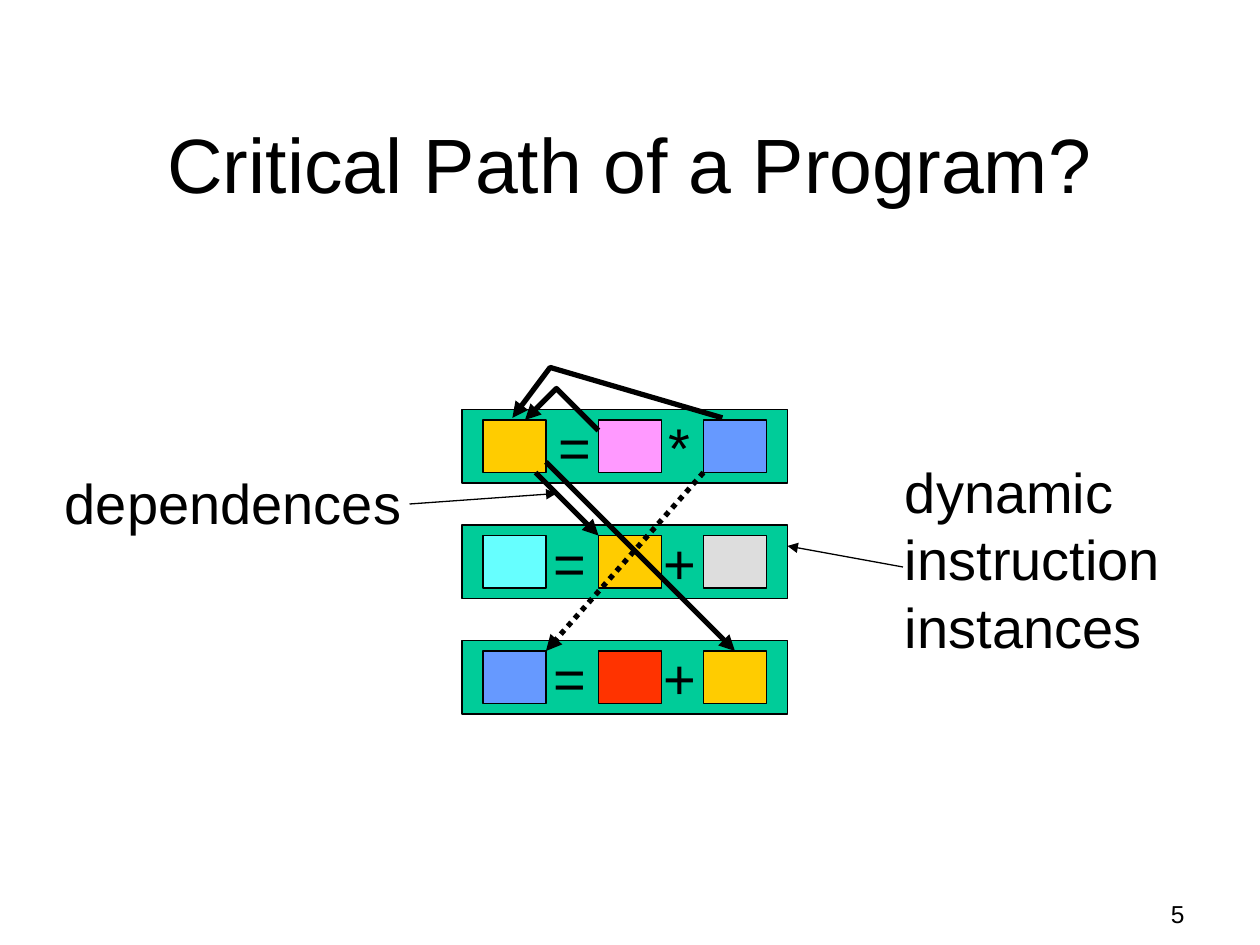
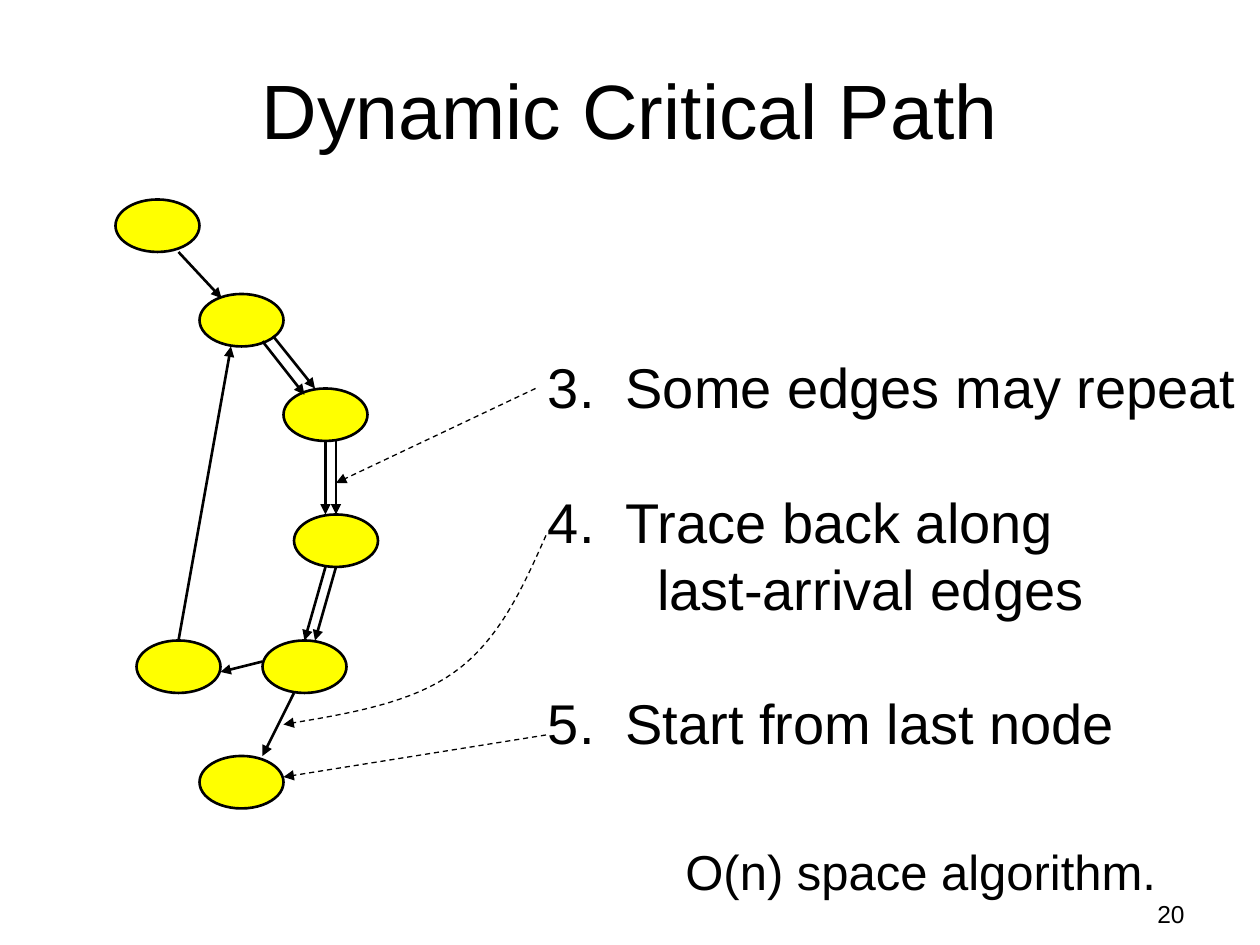
import lxml.etree
import pptx
import pptx.dml.color
import pptx.enum.dml
import pptx.enum.shapes
import pptx.enum.text
import pptx.oxml.ns
import pptx.util

PX = 7620  # 120 px to the inch
FONT = "Arial"
INK, BAND, NODE = "000000", "00CC99", "FFFF00"
GOLD, PINK, BLUE = "FFCC00", "FF99FF", "6699FF"
CYAN, GRAY, RED = "66FFFF", "DDDDDD", "FF3300"

SHAPE = pptx.enum.shapes.MSO_SHAPE
DASH = pptx.enum.dml.MSO_LINE
ALIGN = pptx.enum.text.PP_ALIGN
ANCHOR = pptx.enum.text.MSO_ANCHOR
qn = pptx.oxml.ns.qn


def px(*vals):
    return [pptx.util.Emu(round(val * PX)) for val in vals]


def color(hexa):
    return pptx.dml.color.RGBColor.from_string(hexa)


def assign(obj, form):
    for name, val in form.items():
        setattr(obj, name, val)


def child(node, tag, **attrs):
    return lxml.etree.SubElement(node, qn(tag), attrs)


def style(par, size):
    for run in par.runs:
        assign(run.font, {"name": FONT, "size": pptx.util.Pt(size)})
        run.font.color.rgb = color(INK)


def stroke(shape, width, dash=None, arrow=False):
    shape.line.color.rgb = color(INK)
    shape.line.width = pptx.util.Pt(width)
    if dash:
        shape.line.dash_style = dash
    if arrow:
        child(shape.element.spPr.find(qn("a:ln")), "a:tailEnd", type="triangle")


def block(slide, kind, box, fill, width):
    shape = slide.shapes.add_shape(kind, *px(*box))
    shape.shadow.inherit = False
    shape.fill.solid()
    shape.fill.fore_color.rgb = color(fill)
    stroke(shape, width)
    return shape


def arrow(slide, org, ends, width, dash=None):
    """Draw an arrow whose ends are offsets from org."""
    x, y = org
    x1, y1, x2, y2 = ends
    line = slide.shapes.add_connector(
        pptx.enum.shapes.MSO_CONNECTOR.STRAIGHT, *px(x + x1, y + y1, x + x2, y + y2))
    stroke(line, width, dash, True)
    child(line.element.spPr, "a:effectLst")
    return line


def trail(slide, org, points, width, dash=None):
    """Draw an open path with an arrowhead at its last point."""
    start, *rest = [px(org[0] + x, org[1] + y) for x, y in points]
    path = slide.shapes.build_freeform(*start)
    path.add_line_segments(rest, close=False)
    shape = path.convert_to_shape()
    shape.shadow.inherit = False
    shape.fill.background()
    stroke(shape, width, dash, True)


def curve(knots, steps=16):
    """Sample a chain of cubic Bezier pieces."""
    points = [knots[0]]
    for i in range(0, len(knots) - 1, 3):
        piece = knots[i:i + 4]
        for step in range(1, steps + 1):
            t = step / steps
            mix = ((1 - t) ** 3, 3 * t * (1 - t) ** 2, 3 * t * t * (1 - t), t ** 3)
            points.append(tuple(sum(m * k[axis] for m, k in zip(mix, piece))
                                for axis in (0, 1)))
    return points


def label(slide, box, lines, size=32):
    frame = slide.shapes.add_textbox(*px(*box)).text_frame
    assign(frame, {"word_wrap": False, "margin_right": 0})
    for i, text in enumerate(lines):
        par = frame.add_paragraph() if i else frame.paragraphs[0]
        par.text = text
        par.line_spacing = pptx.util.Pt(size * 1.2)
        style(par, size)
    return frame


def page(deck, title, box, number):
    slide = deck.slides.add_slide(deck.slide_layouts[5])
    head = slide.shapes.title
    assign(head, dict(zip(("left", "top", "width", "height"), px(*box))))
    assign(head.text_frame, {"text": title, "word_wrap": True,
                             "vertical_anchor": ANCHOR.MIDDLE})
    par = head.text_frame.paragraphs[0]
    par.alignment = ALIGN.CENTER
    style(par, 44)

    frame = slide.shapes.add_textbox(*px(1080, 850, 60, 50)).text_frame
    assign(frame, {"text": str(number), "word_wrap": True})
    frame.paragraphs[0].alignment = ALIGN.RIGHT
    style(frame.paragraphs[0], 14)
    return slide


def band(slide, org, signs, stops, fills):
    """Draw one instruction: a band with two signs and three cells."""
    x, y = org
    shape = block(slide, SHAPE.RECTANGLE, (x, y, 310, 70), BAND, 0.75)
    frame = shape.text_frame
    assign(frame, {"margin_left": 0, "margin_right": 0, "word_wrap": True,
                   "vertical_anchor": ANCHOR.MIDDLE})
    par = frame.paragraphs[0]
    par.alignment = ALIGN.LEFT
    tabs = child(par._p.get_or_add_pPr(), "a:tabLst")
    for stop in stops:
        child(tabs, "a:tab", pos=str(stop * PX), algn="ctr")
    par.text = "".join("\t" + sign for sign in signs)
    style(par, 32)
    return [block(slide, SHAPE.RECTANGLE, (x + dx, y + 10, 60, 50), fill, 0.75)
            for dx, fill in zip((20, 130, 230), fills)]


def program(slide, org):
    x, y = org
    rows = [("=*", (108, 207), (GOLD, PINK, BLUE)),
            ("=+", (103, 208), (CYAN, GOLD, GRAY)),
            ("=+", (103, 208), (BLUE, RED, GOLD))]
    cells = [band(slide, (x, y + i * 110), *row) for i, row in enumerate(rows)]
    arrow(slide, org, (70, 60, 130, 120), 3)
    far = arrow(slide, org, (80, 50, 260, 230), 3)
    far.end_connect(cells[2][2], 0)
    arrow(slide, org, (230, 60, 80, 230), 3, DASH.ROUND_DOT)
    trail(slide, org, [(130, 20), (90, -20), (60, 10)], 3)
    trail(slide, org, [(248, 8), (84, -40), (48, 8)], 3)


def remarks(slide, org):
    x, y = org
    label(slide, (x + 410, y + 40, 268, 204), ["dynamic\vinstruction", "instances"])
    label(slide, (x - 390, y + 50, 350, 77), ["dependences"])
    for ends in [(420, 150, 310, 130), (-50, 90, 90, 80)]:
        arrow(slide, org, ends, 0.75)


def graph(slide, org):
    x, y = org
    nodes = [(80, 530), (140, 420), (170, 300), (160, 180), (80, 90), (0, 0), (20, 420)]
    for dx, dy in nodes:
        block(slide, SHAPE.OVAL, (x + dx, y + dy, 80, 50), NODE, 1.5)
    edges = [(170, 470, 140, 530), (60, 420, 110, 140), (140, 440, 100, 450),
             (60, 50, 101, 94)]
    twins = [(210, 350, 190, 420), (210, 230, 210, 300), (150, 130, 190, 180),
             (200, 350, 180, 420), (200, 230, 200, 300), (140, 135, 180, 186)]
    for ends in edges + twins:
        arrow(slide, org, ends, 1.5)


def steps(slide, org):
    lines = [("Some edges may repeat", 3), ("Trace back along", 4),
             ("last-arrival edges", None), ("Start from last node", 5)]
    frame = label(slide, (*org, 690, 396), [text for text, _ in lines])
    for i, (par, (_, num)) in enumerate(zip(frame.paragraphs, lines)):
        props = par._p.get_or_add_pPr()
        left, indent = (74, -74) if num else (104, 0)
        props.set("marL", str(left * PX))
        props.set("indent", str(indent * PX))
        if num:
            child(props, "a:buFont", typeface=FONT)
            child(props, "a:buAutoNum", type="arabicPeriod", startAt=str(num))
        if num and i:
            par.space_before = pptx.util.Pt(38.4)
    for ends in [(10, 370, -240, 410), (0, 40, -190, 130)]:
        arrow(slide, org, ends, 0.75, DASH.DASH)
    knots = [(10, 180), (-12, 230), (-35, 280), (-77, 310),
             (-118, 340), (-179, 350), (-240, 360)]
    trail(slide, org, curve(knots), 0.75, DASH.DASH)


def main():
    deck = pptx.Presentation()
    assign(deck, dict(zip(("slide_width", "slide_height"), px(1200, 900))))

    first = page(deck, "Critical Path of a Program?", (90, 80, 1020, 150), 5)
    program(first, (440, 390))
    remarks(first, (440, 390))

    second = page(deck, "Dynamic Critical Path", (90, 49, 1020, 110), 20)
    graph(second, (110, 190))
    steps(second, (510, 330))
    label(second, (641, 796, 472, 68), ["O(n) space algorithm."], 28)

    deck.save("out.pptx")


if __name__ == "__main__":
    main()
